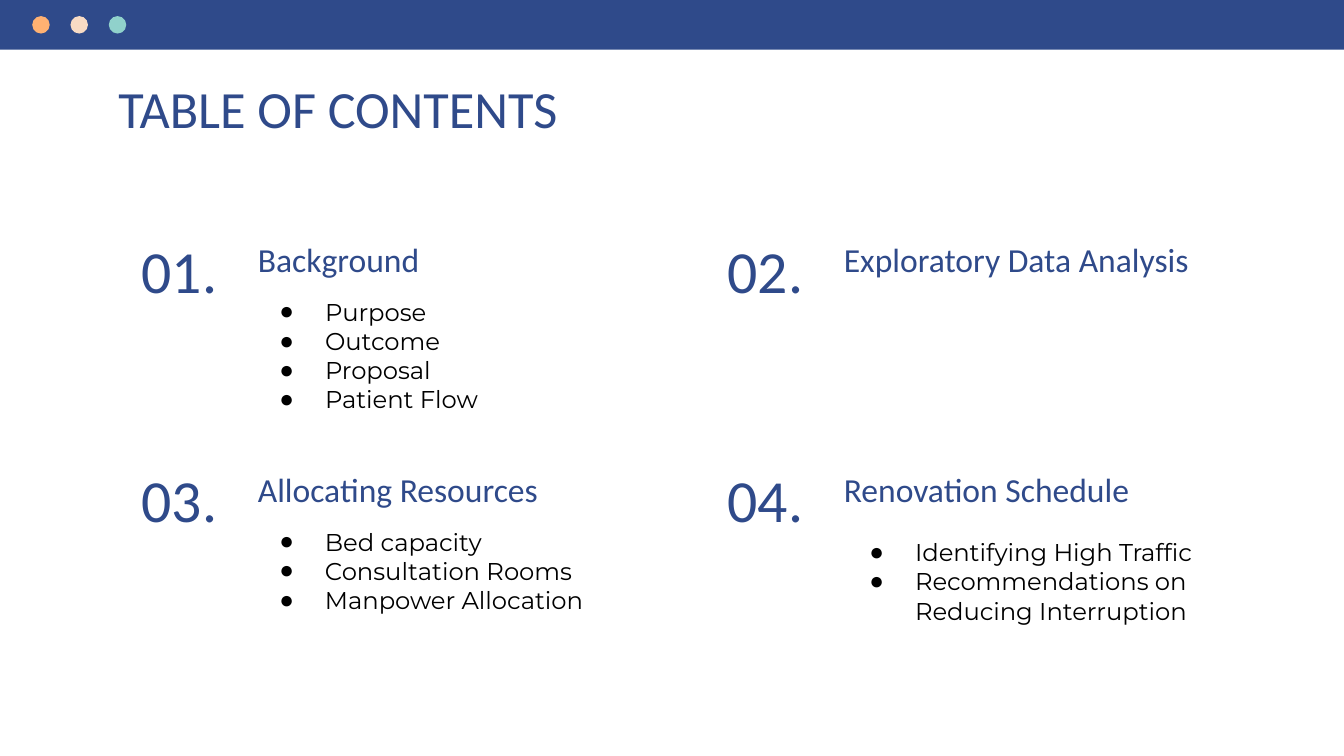
from dataclasses import dataclass

from lxml import etree
from pptx import Presentation
from pptx.dml.color import RGBColor
from pptx.enum import shapes, text
from pptx.oxml import ns
from pptx.util import Inches, Pt


@dataclass(frozen=True)
class Theme:
    navy: str = "2F4A8A"
    black: str = "000000"
    dots: tuple = ("FFB172", "F8DBC4", "90D1CB")
    head: str = "Calibri"
    body: str = "Montserrat"
    mark: str = "Arial"
    title: int = 28
    number: int = 32
    topic: int = 18
    item: int = 13


THEME = Theme()

# Left edge and heading width of each column, top of each row
COLS = ((0.84, 2.92), (5.2, 2.98))
ROWS = (1.68, 3.39)

# Heading, bullet items, and left, top and width of the bullet box
TOPICS = (
    ("Background", ("Purpose", "Outcome", "Proposal", "Patient Flow"),
     (1.82, 2.11, 2.49)),
    ("Exploratory Data Analysis", (), None),
    ("Allocating Resources",
     ("Bed capacity", "Consultation Rooms", "Manpower Allocation"),
     (1.82, 3.82, 3.07)),
    ("Renovation Schedule",
     ("Identifying High Traffic", "Recommendations on Reducing Interruption"),
     (6.21, 3.9, 2.92)),
)


def add_bullet(para):
    props = para._p.get_or_add_pPr()
    props.set("marL", str(Inches(0.5)))
    props.set("indent", str(Inches(-0.34)))
    color = etree.SubElement(props, ns.qn("a:buClr"))
    etree.SubElement(color, ns.qn("a:srgbClr"), val=THEME.black)
    etree.SubElement(props, ns.qn("a:buFont"), typeface=THEME.mark)
    etree.SubElement(props, ns.qn("a:buChar"), char="●")


def write(shape, lines, size, font=THEME.head, color=THEME.navy,
          align=text.PP_ALIGN.LEFT, anchor=text.MSO_ANCHOR.TOP, bullet=False):
    frame = shape.text_frame
    frame.word_wrap = True
    frame.auto_size = text.MSO_AUTO_SIZE.NONE
    frame.vertical_anchor = anchor
    frame.margin_left = frame.margin_right = Inches(0.1)
    frame.margin_top = frame.margin_bottom = Inches(0.1)
    frame.text = "\n".join(lines)
    for para in frame.paragraphs:
        para.alignment = align
        if bullet:
            add_bullet(para)
        style = para.runs[0].font
        style.name, style.size = font, Pt(size)
        style.color.rgb = RGBColor.from_string(color)


def add_box(slide, left, top, width, height, lines, **style):
    box = slide.shapes.add_textbox(
        Inches(left), Inches(top), Inches(width), Inches(height))
    write(box, lines, **style)


def add_solid(slide, kind, left, top, width, height, color):
    shape = slide.shapes.add_shape(
        kind, Inches(left), Inches(top), Inches(width), Inches(height))
    shape.shadow.inherit = False
    shape.fill.solid()
    shape.fill.fore_color.rgb = RGBColor.from_string(color)
    shape.line.fill.background()


def add_title(slide):
    title = slide.shapes.title
    title.left, title.top = Inches(0.78), Inches(0.47)
    title.width, title.height = Inches(8.44), Inches(0.51)
    write(title, ["TABLE OF CONTENTS"], size=THEME.title)


def add_topic(slide, index, name, items, place):
    row, col = divmod(index, len(COLS))
    left, width = COLS[col]
    top = ROWS[row]
    add_box(slide, left + 0.98, top, width, 0.51, [name], size=THEME.topic)
    add_box(slide, left, top + 0.05, 0.99, 0.64, [f"{index + 1:02}."],
            size=THEME.number, align=text.PP_ALIGN.CENTER,
            anchor=text.MSO_ANCHOR.BOTTOM)
    if items:
        height = 0.98 if len(items) > 3 else 0.64
        add_box(slide, *place, height, items, size=THEME.item,
                font=THEME.body, color=THEME.black, bullet=True)


def add_bar(slide):
    kind = shapes.MSO_SHAPE
    add_solid(slide, kind.RECTANGLE, 0, 0, 10, 0.37, THEME.navy)
    for i, color in enumerate(THEME.dots):
        add_solid(slide, kind.OVAL, 0.24 + i * 0.285, 0.12, 0.13, 0.13, color)


def main():
    # Widescreen page, 16 by 9
    deck = Presentation()
    deck.slide_width = Inches(10)
    deck.slide_height = deck.slide_width * 9 // 16
    slide = deck.slides.add_slide(deck.slide_layouts[5])

    # Title
    add_title(slide)

    # Numbered topics in a two by two grid
    for index, topic in enumerate(TOPICS):
        add_topic(slide, index, *topic)

    # Window bar with three dots
    add_bar(slide)

    deck.save("out.pptx")


if __name__ == "__main__":
    main()
